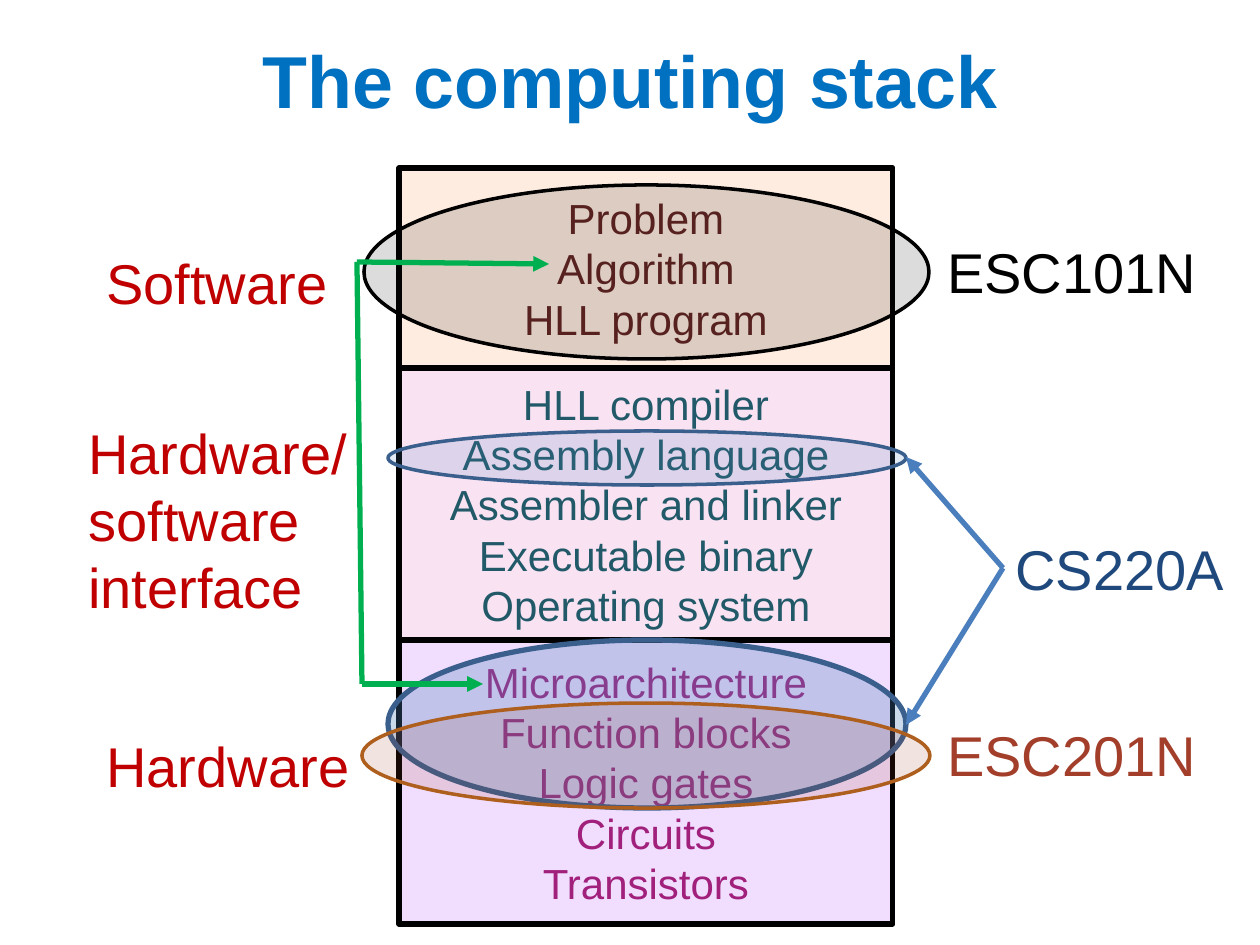
import pptx
import pptx.util
import pptx.dml.color
import pptx.enum.shapes
import pptx.enum.text
import pptx.oxml.ns
import lxml.etree

SCALE = 914400 / 126
SHAPE = pptx.enum.shapes.MSO_SHAPE
ALIGN = pptx.enum.text.PP_ALIGN
ANCHOR = pptx.enum.text.MSO_ANCHOR
RED, BLUE, GREEN = "C00000", "4B7EBC", "00B050"


def px(*vals):
    """Turn pixels into EMU lengths."""
    return [pptx.util.Emu(round(v * SCALE)) for v in vals]


def paint(color, value):
    """Set a colour format from a hex string."""
    color.rgb = pptx.dml.color.RGBColor.from_string(value)


def add_tag(parent, name, **attrs):
    """Append a DrawingML element and return it."""
    return lxml.etree.SubElement(parent, pptx.oxml.ns.qn(name), attrs)


class Deck:
    """Holds the style and the current slide."""

    font = "Arial"

    def __init__(self):
        """Open a deck with one title-only slide."""
        self.prs = pptx.Presentation()
        self.prs.slide_width, self.prs.slide_height = px(1260, 945)
        self.slide = self.prs.slides.add_slide(self.prs.slide_layouts[5])
        self.shapes = self.slide.shapes

    def put_text(self, shape, text, size, color, align, bold=False):
        """Set the text of a shape and format its runs."""
        frame = shape.text_frame
        frame.text = text
        for para in frame.paragraphs:
            para.alignment = align
            for run in para.runs:
                run.font.name = self.font
                run.font.size = pptx.util.Pt(size)
                run.font.bold = bold
                paint(run.font.color, color)
        return frame

    def title(self, text, box, color):
        """Place and format the title."""
        shape = self.shapes.title
        shape.left, shape.top, shape.width, shape.height = px(*box)
        frame = self.put_text(shape, text, 42, color, ALIGN.CENTER, True)
        frame.vertical_anchor = ANCHOR.MIDDLE

    def shape(self, kind, box, fill, alpha, line, width):
        """Add a see-through shape with an outline."""
        shape = self.shapes.add_shape(kind, *px(*box))
        shape.shadow.inherit = False
        shape.fill.solid()
        paint(shape.fill.fore_color, fill)
        tint = shape._element.spPr.find(".//" + pptx.oxml.ns.qn("a:srgbClr"))
        add_tag(tint, "a:alpha", val=str(alpha * 1000))
        paint(shape.line.color, line)
        shape.line.width = pptx.util.Pt(width)
        return shape

    def layer(self, box, fill, alpha, color, text):
        """Add one layer of the stack."""
        shape = self.shape(SHAPE.RECTANGLE, box, fill, alpha, "000000", 3)
        frame = self.put_text(shape, text, 24, color, ALIGN.CENTER)
        frame.vertical_anchor = ANCHOR.MIDDLE
        frame.word_wrap = False

    def label(self, box, text, color):
        """Add a side label."""
        shape = self.shapes.add_textbox(*px(*box))
        frame = self.put_text(shape, text, 32, color, ALIGN.LEFT)
        frame.word_wrap = False
        frame.auto_size = pptx.enum.text.MSO_AUTO_SIZE.SHAPE_TO_FIT_TEXT

    def line(self, start, end, color, arrow=True):
        """Add a straight line, with an arrowhead if asked."""
        kind = pptx.enum.shapes.MSO_CONNECTOR.STRAIGHT
        link = self.shapes.add_connector(kind, *px(*start, *end))
        paint(link.line.color, color)
        link.line.width = pptx.util.Pt(3)
        props = link._element.spPr
        if arrow:
            stroke = props.find(pptx.oxml.ns.qn("a:ln"))
            add_tag(stroke, "a:tailEnd", type="triangle")
        add_tag(props, "a:effectLst")


def main():
    """Build the slide."""
    deck = Deck()
    deck.title("The computing stack", (0, 0, 1260, 158), "0070C0")

    layers = [
        (200, "FF6600", 12, "632523", "Problem\nAlgorithm\nHLL program"),
        (272, "CC0099", 11, "215968", "HLL compiler\nAssembly language\n"
         "Assembler and linker\nExecutable binary\nOperating system"),
        (284, "9900FF", 13, "A0207B", "Microarchitecture\nFunction blocks\n"
         "Logic gates\nCircuits\nTransistors"),
    ]
    top = 168
    for high, *style in layers:
        deck.layer((399, top, 494, high), *style)
        top += high

    labels = [
        ((94, 242, 248, 81), "Software", RED),
        ((76, 412, 286, 217), "Hardware/\nsoftware\ninterface", RED),
        ((94, 725, 270, 81), "Hardware", RED),
        ((935, 231, 277, 81), "ESC101N", "000000"),
        ((1003, 528, 236, 81), "CS220A", "1F497D"),
        ((935, 714, 277, 81), "ESC201N", "A23E2A"),
    ]
    for item in labels:
        deck.label(*item)

    ovals = [
        ((388, 640, 518, 168), "4F81BD", 29, "3A5F8C", 3),
        ((388, 431, 518, 54), "4F81BD", 16, "3A5F8C", 2),
        ((362, 703, 568, 105), "A23E2A", 14, "AE5F1E", 2),
        ((364, 185, 565, 174), "0D0D0D", 14, "000000", 2),
    ]
    for item in ovals:
        deck.shape(SHAPE.OVAL, *item)

    course = (1003, 568)
    for end in ((906, 457), (906, 725)):
        deck.line(course, end, BLUE)
    upper, lower = (357, 262), (362, 684)
    deck.line(upper, lower, GREEN, arrow=False)
    deck.line(upper, (549, 264), GREEN)
    deck.line(lower, (483, 684), GREEN)
    deck.prs.save("out.pptx")


main()
